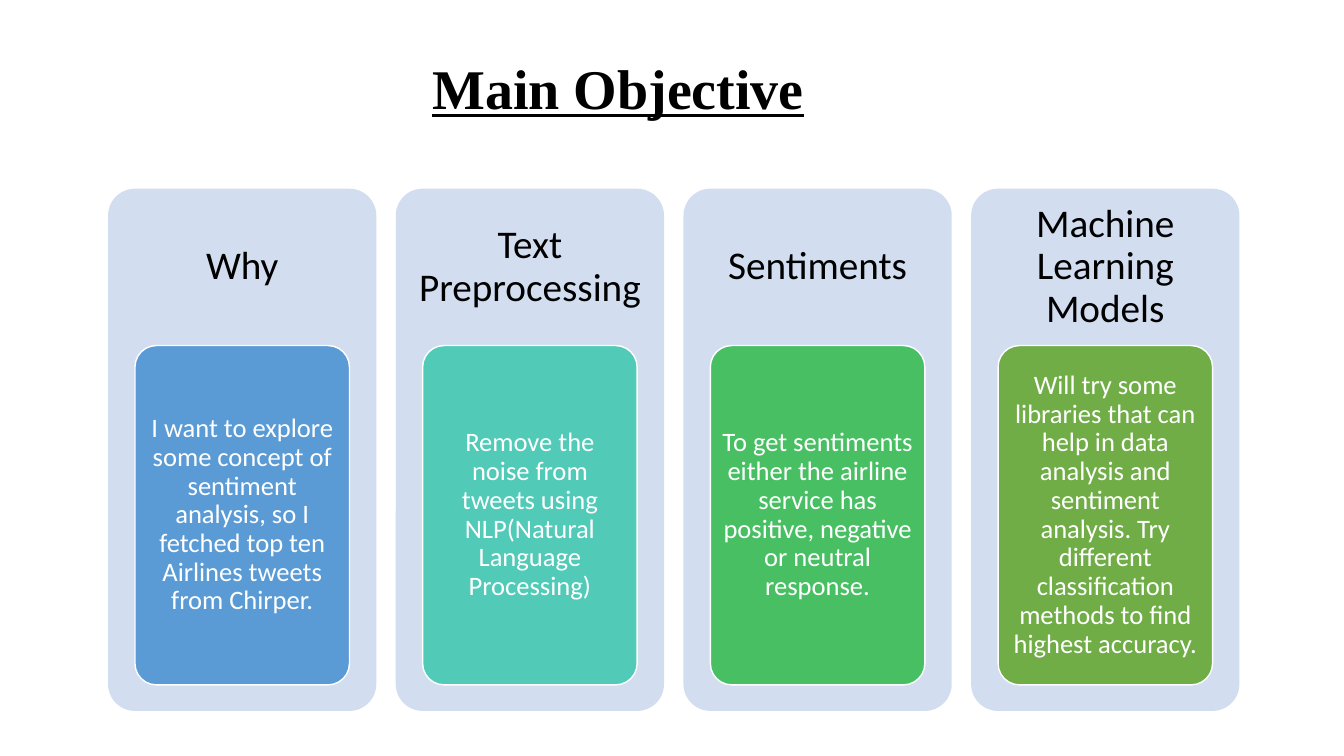
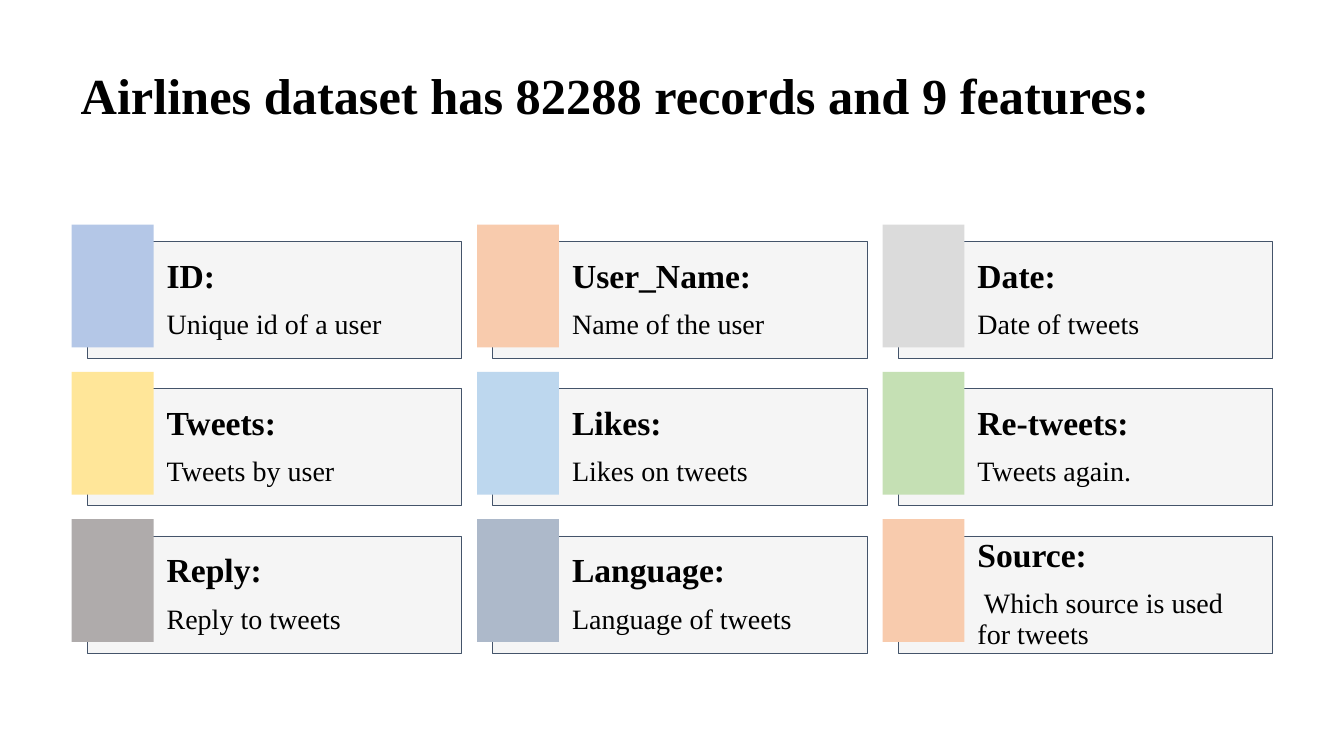
from lxml.etree import SubElement
from pptx import Presentation
from pptx.dml.color import RGBColor
from pptx.enum.shapes import MSO_SHAPE
from pptx.enum.text import MSO_ANCHOR, MSO_AUTO_SIZE, PP_ALIGN
from pptx.oxml.ns import qn
from pptx.util import Pt

COLORS = {
    "black": "000000", "white": "FFFFFF", "card": "D2DEEF",
    "blue": "5B9BD5", "teal": "52CAB8", "green": "49BF64", "olive": "70AD47",
    "panel": "E7E6E6", "slate": "44546A",
    "pale blue": "B4C7E7", "peach": "F8CBAD", "silver": "DBDBDB",
    "yellow": "FFE699", "sky": "BDD7EE", "pale green": "C5E0B4",
    "gray": "AFABAB", "steel": "ADB9CA",
}
SANS = "Calibri"
SERIF = "Times New Roman"
TITLE_ONLY = 5

OBJECTIVES = [
    ("Why", "blue", "I want to explore some concept of sentiment analysis, so I "
     "fetched top ten Airlines tweets from Chirper."),
    ("Text Preprocessing", "teal", "Remove the noise from tweets using "
     "NLP(Natural Language Processing)"),
    ("Sentiments", "green", "To get sentiments either the airline service has "
     "positive, negative or neutral response."),
    ("Machine Learning Models", "olive", "Will try some libraries that can help in "
     "data analysis and sentiment analysis. Try different classification methods "
     "to find highest accuracy."),
]

FEATURES = [
    ("ID:", "Unique id of a user", "pale blue"),
    ("User_Name:", "Name of the user", "peach"),
    ("Date:", "Date of tweets", "silver"),
    ("Tweets:", "Tweets by user", "yellow"),
    ("Likes:", "Likes on tweets", "sky"),
    ("Re-tweets:", "Tweets again.", "pale green"),
    ("Reply:", "Reply to tweets", "gray"),
    ("Language:", "Language of tweets", "steel"),
    ("Source:", " Which source is used for tweets", "peach"),
]


def rgb(name):
    return RGBColor.from_string(COLORS[name])


def write(para, text, font=SANS, size=20, color="black", bold=False,
          underline=False, align=PP_ALIGN.LEFT, after=0):
    para.alignment = align
    para.line_spacing = 0.9
    para.space_before = Pt(0)
    para.space_after = Pt(after)
    span = para.add_run()
    span.text = text
    span.font.name = font
    span.font.size = Pt(size)
    span.font.bold = bold
    span.font.underline = underline
    span.font.color.rgb = rgb(color)


class SlideBuilder:
    def __init__(self):
        self.deck = Presentation()
        self.deck.slide_width = Pt(960)
        self.deck.slide_height = Pt(540)
        self.page = None

    def new_page(self):
        self.page = self.deck.slides.add_slide(self.deck.slide_layouts[TITLE_ONLY])

    def frame(self, box, across=7.2, down=3.6, left=None):
        frame = box.text_frame
        frame.word_wrap = True
        frame.auto_size = MSO_AUTO_SIZE.NONE
        frame.vertical_anchor = MSO_ANCHOR.MIDDLE
        frame.margin_left = Pt(across if left is None else left)
        frame.margin_right = Pt(across)
        frame.margin_top = frame.margin_bottom = Pt(down)
        return frame

    def title(self, text, left, top, width, height, **style):
        box = self.page.shapes.title
        box.left, box.top = Pt(left), Pt(top)
        box.width, box.height = Pt(width), Pt(height)
        write(self.frame(box).paragraphs[0], text, font=SERIF, bold=True, **style)

    def shape(self, kind, left, top, width, height, fill, line=None, weight=1, alpha=None):
        box = self.page.shapes.add_shape(kind, Pt(left), Pt(top), Pt(width), Pt(height))
        box.shadow.inherit = False
        box.fill.solid()
        box.fill.fore_color.rgb = rgb(fill)
        if alpha is not None:
            color = box.fill._xPr.find(qn("a:solidFill"))[0]
            SubElement(color, qn("a:alpha")).set("val", str(alpha * 1000))
        if line:
            box.line.color.rgb = rgb(line)
            box.line.width = Pt(weight)
        else:
            box.line.fill.background()
        return box

    def rounded(self, *place, **style):
        box = self.shape(MSO_SHAPE.ROUNDED_RECTANGLE, *place, **style)
        box.adjustments[0] = 0.1
        return box

    def objective(self, left, top, heading, color, detail):
        width = 191.6
        self.rounded(left, top, width, 373, fill="card")
        label = self.page.shapes.add_textbox(Pt(left), Pt(top), Pt(width), Pt(112))
        write(self.frame(label, 8.4, 8.4).paragraphs[0], heading, size=28,
              align=PP_ALIGN.CENTER)
        body = self.rounded(left + 19.2, top + 112, 153.2, 242.4, fill=color, line="white")
        write(self.frame(body, 3.75, 2.8).paragraphs[0], detail, size=19,
              color="white", align=PP_ALIGN.CENTER)

    def feature(self, left, top, heading, detail, color):
        panel = self.shape(MSO_SHAPE.RECTANGLE, left, top, 267.4, 83.6, fill="panel",
                           line="slate", weight=0.5, alpha=40)
        frame = self.frame(panel, 7.2, 7.2, left=56.6)
        write(frame.paragraphs[0], heading, font=SERIF, size=24, bold=True, after=10.5)
        write(frame.add_paragraph(), detail, font=SERIF, size=20)
        self.shape(MSO_SHAPE.RECTANGLE, left - 11.2, top - 12, 58.5, 87.8, fill=color)


def main():
    builder = SlideBuilder()

    builder.new_page()
    builder.title("Main Objective", 69, 18.7, 745, 93, size=40, underline=True,
                  align=PP_ALIGN.CENTER)
    for column, objective in enumerate(OBJECTIVES):
        builder.objective(77.2 + column * 205.5, 134.8, *objective)

    builder.new_page()
    builder.title("Airlines dataset has 82288 records and 9 features:",
                  50.4, 25.2, 859, 89.3, size=36)
    for index, feature in enumerate(FEATURES):
        row, column = divmod(index, 3)
        builder.feature(62.4 + column * 289.6, 172.4 + row * 105.2, *feature)

    builder.deck.save("out.pptx")


if __name__ == "__main__":
    main()
